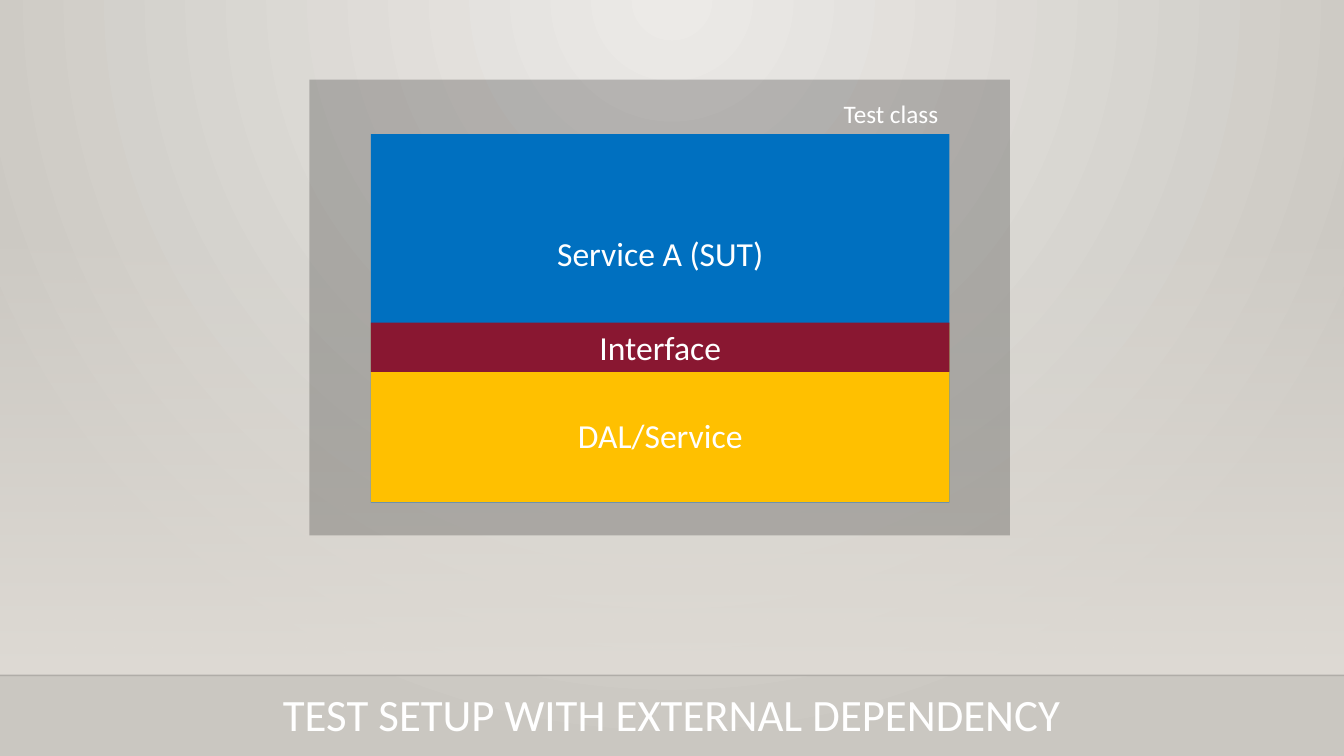
import pptx
import pptx.dml.color
import pptx.enum.shapes
import pptx.enum.text
import pptx.oxml
import pptx.oxml.ns
import pptx.util

Cm = pptx.util.Cm
RGBColor = pptx.dml.color.RGBColor

WHITE = RGBColor(0xFF, 0xFF, 0xFF)
BLACK = RGBColor(0x00, 0x00, 0x00)
GLOW = RGBColor(0xEC, 0xEA, 0xE7)
STONE = RGBColor(0xCA, 0xC7, 0xC1)
SAND = RGBColor(0xDF, 0xDB, 0xD5)
BLUE = RGBColor(0x00, 0x70, 0xC0)
AMBER = RGBColor(0xFF, 0xC0, 0x00)
CRIMSON = RGBColor(0x89, 0x17, 0x31)

PAGE_WIDTH, PAGE_HEIGHT = 33.87, 19.05
FLOOR = 17.02
NAMESPACE = pptx.oxml.ns.nsdecls("a")


class SlideBuilder:
    font = "Calibri"
    text_color = WHITE

    def __init__(self, page):
        self.page = page

    def set_opacity(self, color_node, percent):
        color_node.append(pptx.oxml.parse_xml(
            f'<a:alpha {NAMESPACE} val="{percent * 1000}"/>'))

    def color_stops(self, fill, colors):
        fill.gradient()
        for stop, color in zip(fill.gradient_stops, colors):
            stop.color.rgb = color

    def background(self, inner, outer):
        self.color_stops(self.page.background.fill, (inner, outer))
        gradient = self.page.element.xpath(".//p:bg//a:gradFill")[0]
        linear = gradient.find(pptx.oxml.ns.qn("a:lin"))
        gradient.replace(linear, pptx.oxml.parse_xml(
            f'<a:path {NAMESPACE} path="circle">'
            '<a:fillToRect l="43000" t="0" r="43000" b="100000"/></a:path>'))

    def rectangle(self, left, top, width, height, color, opacity=100):
        box = self.page.shapes.add_shape(
            pptx.enum.shapes.MSO_SHAPE.RECTANGLE,
            Cm(left), Cm(top), Cm(width), Cm(height))
        box.shadow.inherit = False
        box.line.fill.background()
        box.fill.solid()
        box.fill.fore_color.rgb = color
        if opacity < 100:
            self.set_opacity(box.element.xpath("./p:spPr/a:solidFill/a:srgbClr")[0], opacity)
        return box

    def fading_rectangle(self, left, top, width, height, color):
        box = self.rectangle(left, top, width, height, color)
        self.color_stops(box.fill, (color, color))
        box.fill.gradient_angle = 270
        self.set_opacity(box.element.xpath("./p:spPr//a:gs/a:srgbClr")[0], 0)

    def rule(self, top, color, opacity):
        line = self.page.shapes.add_connector(
            pptx.enum.shapes.MSO_CONNECTOR.STRAIGHT,
            0, Cm(top), Cm(PAGE_WIDTH), Cm(top))
        line.line.width = pptx.util.Pt(1)
        line.line.color.rgb = color
        self.set_opacity(line.element.xpath("./p:spPr/a:ln//a:srgbClr")[0], opacity)
        line.element.spPr.append(pptx.oxml.parse_xml(f"<a:effectLst {NAMESPACE}/>"))

    def add_text(self, box, text, size, line_spacing=1.0):
        frame = box.text_frame
        frame.word_wrap = True
        frame.vertical_anchor = pptx.enum.text.MSO_ANCHOR.MIDDLE
        para = frame.paragraphs[0]
        para.alignment = pptx.enum.text.PP_ALIGN.CENTER
        para.line_spacing = line_spacing
        span = para.add_run()
        span.text = text
        span.font.name = self.font
        span.font.size = pptx.util.Pt(size)
        span.font.color.rgb = self.text_color

    def label(self, left, top, width, height, text, size, line_spacing=1.0):
        box = self.page.shapes.add_textbox(Cm(left), Cm(top), Cm(width), Cm(height))
        self.add_text(box, text, size, line_spacing)

    def layer(self, top, height, color, text, inset_top=0.13, inset_bottom=0.13):
        box = self.rectangle(9.35, top, 14.58, height, color)
        box.text_frame.margin_top = Cm(inset_top)
        box.text_frame.margin_bottom = Cm(inset_bottom)
        self.add_text(box, text, 24)


deck = pptx.Presentation()
deck.slide_width, deck.slide_height = Cm(PAGE_WIDTH), Cm(PAGE_HEIGHT)
blank_layout = deck.slide_layouts[6]
slide = SlideBuilder(deck.slides.add_slide(blank_layout))

slide.background(GLOW, STONE)
slide.fading_rectangle(0, 5.61, PAGE_WIDTH, FLOOR - 5.61, SAND)
slide.rule(FLOOR, BLACK, 20)

slide.rectangle(7.8, 2.01, 17.65, 11.48, BLACK, 22)
slide.label(19.51, 2.16, 5.89, 1.42, "Test class", 18)

slide.layer(3.38, 9.28, BLUE, "Service A (SUT)", inset_bottom=3.43)
slide.layer(8.15, 4.5, AMBER, "DAL/Service", inset_top=1.27)
slide.layer(8.13, 1.24, CRIMSON, "Interface")

slide.label(0, 17.07, PAGE_WIDTH, 1.98, "TEST SETUP WITH EXTERNAL DEPENDENCY", 32, 0.9)

deck.save("out.pptx")
